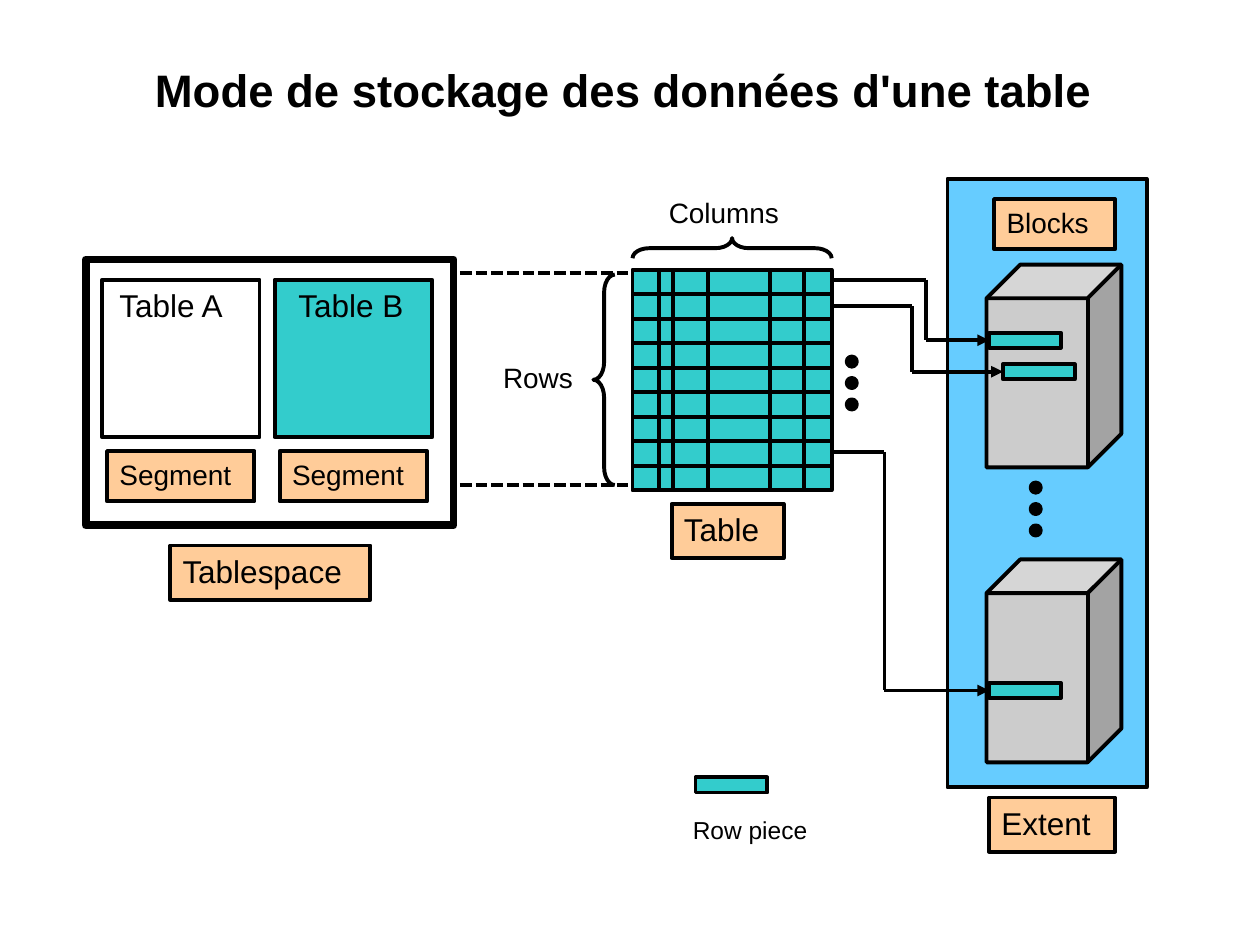
from lxml.etree import SubElement
from pptx import Presentation
from pptx.dml.color import RGBColor
from pptx.enum.dml import MSO_LINE
from pptx.enum.shapes import MSO_CONNECTOR, MSO_SHAPE as SHAPE
from pptx.enum.text import MSO_ANCHOR as ANCHOR, PP_ALIGN as ALIGN
from pptx.oxml.ns import qn
from pptx.util import Inches, Pt

FONT = "Arial"
BLACK, PEACH, TEAL, SKY, GREY = "000000", "FFCC99", "33CCCC", "66CCFF", "CCCCCC"

TITLE = "Mode de stockage des données d'une table "
EXTENT = (7.52, 1.42, 1.58, 4.83)
TABLESPACE = (0.68, 2.06, 2.92, 2.11)
SEGMENTS = [("Table A", 0.81, 0.85, None), ("Table B", 2.18, 2.27, TEAL)]
LABELS = [
    ("Tablespace", (1.35, 4.33, 1.59, 0.43), 18),
    ("Segment", (0.85, 3.58, 1.17, 0.4), 16),
    ("Segment", (2.22, 3.58, 1.17, 0.4), 16),
    ("Table", (5.33, 4, 0.89, 0.43), 18),
    ("Blocks", (7.89, 1.58, 0.96, 0.4), 16),
    ("Extent", (7.85, 6.33, 1, 0.43), 18),
]
CAPTIONS = [
    ("Rows", (3.77, 2.81, 1, 0.37), 16, ALIGN.CENTER),
    ("Columns", (5.21, 1.5, 1.15, 0.37), 16, ALIGN.LEFT),
    ("Row piece", (5.4, 6.42, 1.16, 0.33), 14, ALIGN.LEFT),
]
GRID_LEFT, GRID_TOP, GRID_WIDTH, GRID_HEIGHT = 5.02, 2.14, 1.58, 1.75
GRID_RIGHT, GRID_BOTTOM = GRID_LEFT + GRID_WIDTH, GRID_TOP + GRID_HEIGHT
ROW_COUNT = 9
COLUMN_EDGES = [5.23, 5.34, 5.62, 6.11, 6.38]
BRACES = [((4.71, 2.18, 0.17, 1.67), 0), ((5.73, 1.18, 0.16, 1.58), 90)]
BLOCK_TOPS = [2.1, 4.44]
PIECE_WIDTH, PIECE_HEIGHT = 0.57, 0.12
LEGEND_PIECE = (5.52, 6.17)
ROUTES = [(2.22, 7.35, (7.85, 2.64)), (2.43, 7.24, (7.96, 2.89)), (3.59, 7.02, (7.85, 5.42))]
DOT_COLUMNS = [(8.18, 3.83), (6.72, 2.83)]
DOT_SIZE, DOT_STEP = 0.08, 0.17
ZOOM_LINES = [2.17, 3.85]


def rgb(hex_code):
    return RGBColor.from_string(hex_code)


def write(frame, text, size, align=ALIGN.LEFT, bold=False):
    frame.word_wrap = True
    frame.vertical_anchor = ANCHOR.TOP
    paragraph = frame.paragraphs[0]
    paragraph.alignment = align
    paragraph.space_before = Pt(round(size * 0.1, 1))
    run = paragraph.add_run()
    run.text = text
    run.font.name, run.font.size, run.font.bold = FONT, Pt(size), bold
    run.font.color.rgb = rgb(BLACK)


def add_figure(shapes, kind, place, fill=None, weight=2.25):
    figure = shapes.add_shape(kind, *map(Inches, place))
    figure.shadow.inherit = False
    if fill:
        figure.fill.solid()
        figure.fill.fore_color.rgb = rgb(fill)
    else:
        figure.fill.background()
    figure.line.color.rgb = rgb(BLACK)
    figure.line.width = Pt(weight)
    return figure


def add_line(shapes, start, end, dashed=False, target=None):
    line = shapes.add_connector(MSO_CONNECTOR.STRAIGHT, *map(Inches, (*start, *end)))
    line.line.color.rgb = rgb(BLACK)
    line.line.width = Pt(2.25)
    if dashed:
        line.line.dash_style = MSO_LINE.SQUARE_DOT
    if target is not None:
        SubElement(line.line._get_or_add_ln(), qn("a:tailEnd"), type="triangle")
        line.end_connect(target, 1)
    SubElement(line._element.spPr, qn("a:effectLst"))


def add_piece(shapes, corner):
    return add_figure(shapes, SHAPE.RECTANGLE, (*corner, PIECE_WIDTH, PIECE_HEIGHT), TEAL)


def add_caption(shapes, text, place, size, align=ALIGN.LEFT):
    write(shapes.add_textbox(*map(Inches, place)).text_frame, text, size, align)


def add_title(shapes):
    title = shapes.title
    title.left, title.top, title.width, title.height = map(Inches, (0.67, 0.48, 8.66, 0.96))
    frame = title.text_frame
    frame.margin_left = frame.margin_right = frame.margin_top = frame.margin_bottom = Inches(0.01)
    write(frame, TITLE, 26, ALIGN.CENTER, True)


def add_tablespace(shapes):
    add_figure(shapes, SHAPE.RECTANGLE, TABLESPACE, weight=4.5)
    for name, left, text_left, fill in SEGMENTS:
        add_figure(shapes, SHAPE.RECTANGLE, (left, 2.22, 1.25, 1.25), fill)
        add_caption(shapes, name, (text_left, 2.22, 1.1, 0.4), 18)


def add_grid(shapes):
    add_figure(shapes, SHAPE.RECTANGLE, (GRID_LEFT, GRID_TOP, GRID_WIDTH, GRID_HEIGHT), TEAL)
    for row in range(1, ROW_COUNT):
        y = GRID_TOP + row * GRID_HEIGHT / ROW_COUNT
        add_line(shapes, (GRID_LEFT, y), (GRID_RIGHT, y))
    for x in COLUMN_EDGES:
        add_line(shapes, (x, GRID_TOP), (x, GRID_BOTTOM))
    for place, angle in BRACES:
        brace = add_figure(shapes, SHAPE.LEFT_BRACE, place)
        brace.adjustments[0] = 0.83
        brace.rotation = angle
    for y in ZOOM_LINES:
        add_line(shapes, (3.65, y), (4.99, y), dashed=True)


def add_blocks(shapes):
    for top in BLOCK_TOPS:
        add_figure(shapes, SHAPE.CUBE, (7.83, top, 1.07, 1.61), GREY)
    for row_y, bend_x, corner in ROUTES:
        piece = add_piece(shapes, corner)
        piece_y = corner[1] + PIECE_HEIGHT / 2
        add_line(shapes, (GRID_RIGHT, row_y), (bend_x, row_y))
        add_line(shapes, (bend_x, row_y), (bend_x, piece_y))
        add_line(shapes, (bend_x, piece_y), (corner[0], piece_y), target=piece)


def main():
    """Build the slide on how the data of a table is stored."""
    deck = Presentation()
    deck.slide_width, deck.slide_height = Inches(10), Inches(7.5)
    shapes = deck.slides.add_slide(deck.slide_layouts[5]).shapes
    add_title(shapes)
    add_figure(shapes, SHAPE.RECTANGLE, EXTENT, SKY)
    add_tablespace(shapes)
    add_grid(shapes)
    add_blocks(shapes)
    add_piece(shapes, LEGEND_PIECE)
    for text, place, size in LABELS:
        write(add_figure(shapes, SHAPE.RECTANGLE, place, PEACH).text_frame, text, size)
    for caption in CAPTIONS:
        add_caption(shapes, *caption)
    for left, top in DOT_COLUMNS:
        for step in range(3):
            dot = (left, top + step * DOT_STEP, DOT_SIZE, DOT_SIZE)
            add_figure(shapes, SHAPE.OVAL, dot, BLACK)
    deck.save("out.pptx")


if __name__ == "__main__":
    main()
